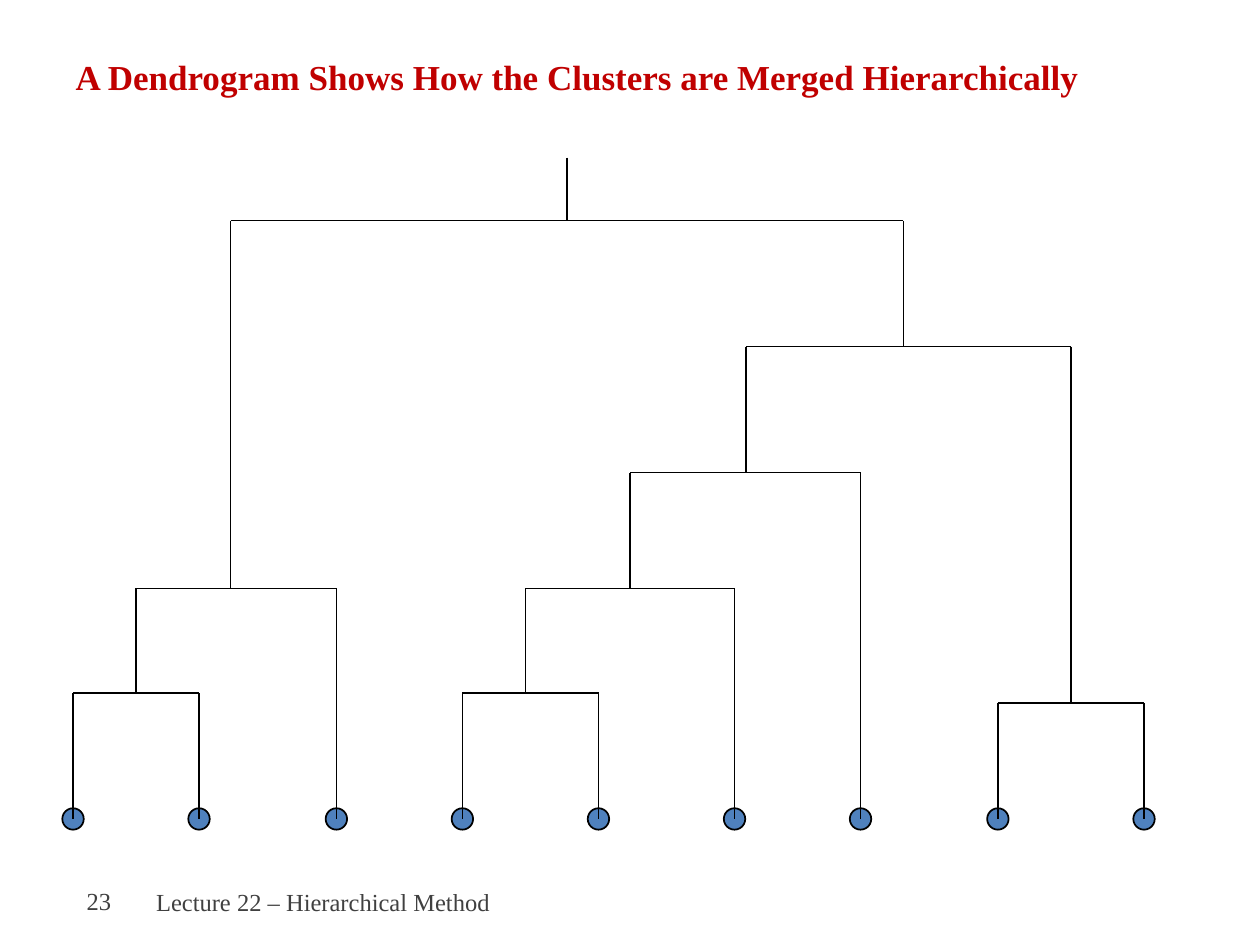
from typing import NamedTuple

from lxml.etree import SubElement
from pptx import Presentation
from pptx.dml.color import RGBColor
from pptx.enum.shapes import MSO_CONNECTOR as Line, MSO_SHAPE as Shape
from pptx.enum.text import MSO_ANCHOR as Anchor, PP_ALIGN as Align
from pptx.oxml.ns import qn
from pptx.util import Inches, Pt

FONT = "Times New Roman"
COLORS = {"title": "C00000", "leaf": "4F81BD", "line": "000000", "foot": "404040"}
BASE = 6.5  # height of the leaf centres
DOT = 0.17


class Merge(NamedTuple):
    """A bar joining two clusters, with a leg down to each of them."""
    left: float
    right: float
    top: float
    left_end: float = BASE
    right_end: float = BASE


class Label(NamedTuple):
    text: str
    left: float
    width: float
    height: float
    align: Align


LEAVES = [0.58, 1.58, 2.67, 3.67, 4.75, 5.83, 6.83, 7.92, 9.08]
MERGES = [
    Merge(0.58, 1.58, 5.5),
    Merge(3.67, 4.75, 5.5),
    Merge(7.92, 9.08, 5.58),
    Merge(1.08, 2.67, 4.67, left_end=5.5),
    Merge(4.17, 5.83, 4.67, left_end=5.5),
    Merge(5, 6.83, 3.75, left_end=4.67),
    Merge(5.92, 8.5, 2.75, left_end=3.75, right_end=5.58),
    Merge(1.83, 7.17, 1.75, left_end=4.67, right_end=2.75),
]
LABELS = [
    Label("Lecture 22 – Hierarchical Method", 1.14, 5.59, 0.42, Align.LEFT),
    Label("23", 0.46, 0.52, 0.4, Align.RIGHT),
]


def color(name: str) -> RGBColor:
    return RGBColor.from_string(COLORS[name])


def style(frame, size: int, tone: str, align: Align, bold: bool = False) -> None:
    frame.word_wrap = True
    frame.vertical_anchor = Anchor.MIDDLE
    para = frame.paragraphs[0]
    para.alignment = align
    for run in para.runs:
        font = run.font
        font.name, font.size, font.bold = FONT, Pt(size), bold
        font.color.rgb = color(tone)


def draw_leaf(slide, x: float) -> None:
    dot = slide.shapes.add_shape(
        Shape.OVAL, Inches(x - DOT / 2), Inches(BASE - DOT / 2),
        Inches(DOT), Inches(DOT))
    dot.shadow.inherit = False
    dot.fill.solid()
    dot.fill.fore_color.rgb = color("leaf")
    dot.line.color.rgb = color("line")
    dot.line.width = Pt(1)


def draw_line(slide, x1: float, y1: float, x2: float, y2: float) -> None:
    line = slide.shapes.add_connector(
        Line.STRAIGHT, Inches(x1), Inches(y1), Inches(x2), Inches(y2))
    line.line.color.rgb = color("line")
    line.line.width = Pt(1)
    SubElement(line._element.spPr, qn("a:effectLst"))


def draw_merge(slide, item: Merge) -> None:
    draw_line(slide, item.left, item.top, item.right, item.top)
    draw_line(slide, item.left, item.top, item.left, item.left_end)
    draw_line(slide, item.right, item.top, item.right, item.right_end)


def draw_label(slide, item: Label) -> None:
    box = slide.shapes.add_textbox(
        Inches(item.left), Inches(6.95), Inches(item.width), Inches(item.height))
    box.text_frame.text = item.text
    style(box.text_frame, 14, "foot", item.align)


def draw_title(slide, text: str) -> None:
    title = slide.shapes.title
    title.left, title.top = Inches(0.5), Inches(0.3)
    title.width, title.height = Inches(9), Inches(0.93)
    frame = title.text_frame
    frame.text = text
    frame.margin_bottom = Inches(0.36)
    style(frame, 20, "title", Align.LEFT, bold=True)


def main() -> None:
    deck = Presentation()
    deck.slide_width, deck.slide_height = Inches(10), Inches(7.5)
    slide = deck.slides.add_slide(deck.slide_layouts[5])
    for x in LEAVES:
        draw_leaf(slide, x)
    for item in MERGES:
        draw_merge(slide, item)
    draw_line(slide, 4.5, 1.25, 4.5, 1.75)
    draw_title(slide, "A Dendrogram Shows How the Clusters are Merged Hierarchically")
    for item in LABELS:
        draw_label(slide, item)
    deck.save("out.pptx")


if __name__ == "__main__":
    main()
